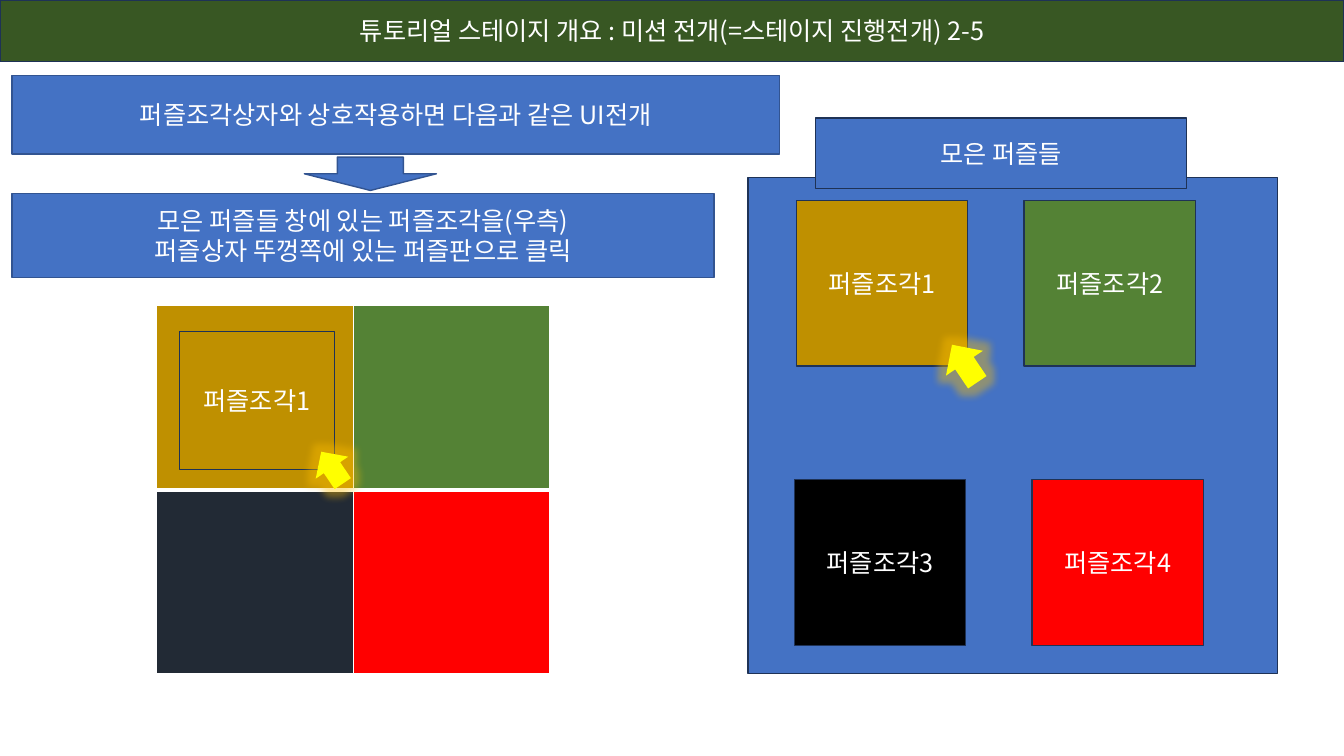
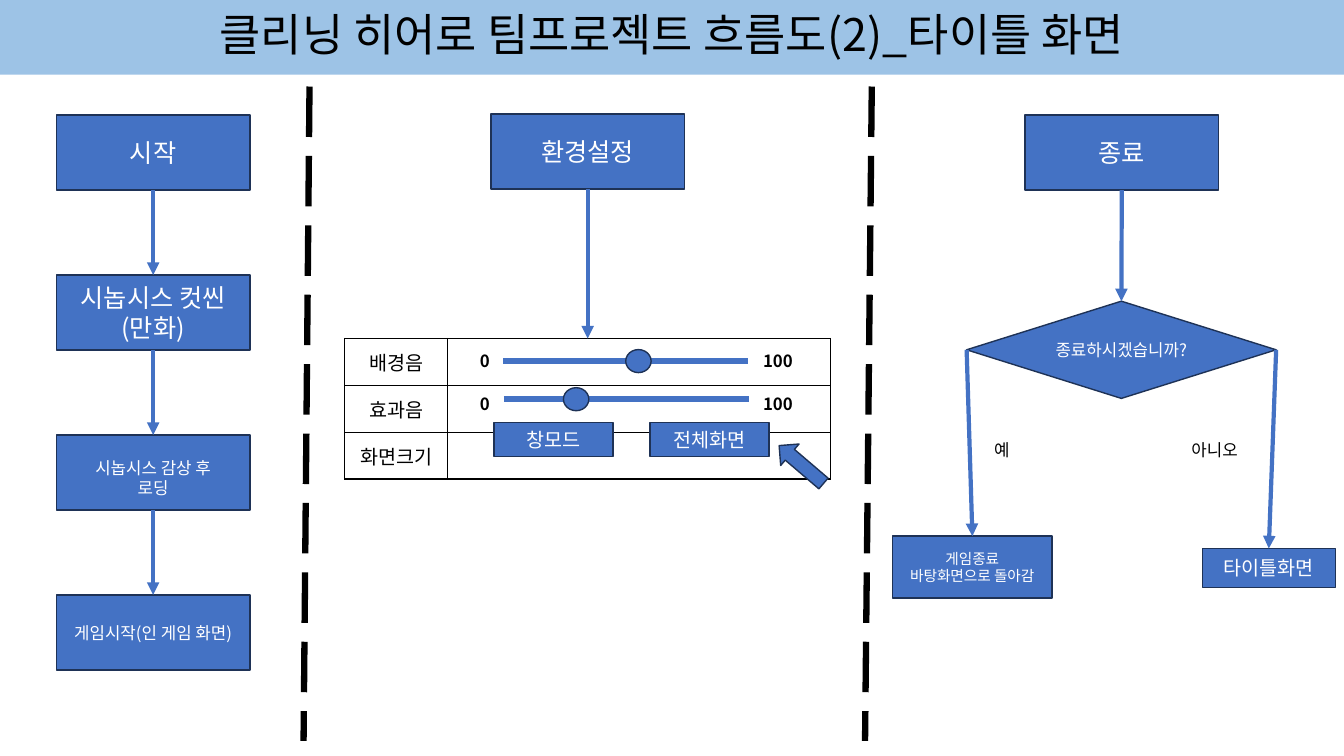
from dataclasses import dataclass

from lxml import etree
from pptx import Presentation
from pptx import util as u
from pptx.dml.color import RGBColor
from pptx.enum import dml, shapes, text
from pptx.oxml import ns

Cm, Pt = u.Cm, u.Pt
KIND = shapes.MSO_SHAPE


@dataclass(frozen=True)
class Theme:
    font: str = "Noto Sans CJK KR"
    blue: str = "4472C4"
    navy: str = "1E3256"
    edge: str = "325491"
    forest: str = "385723"
    sky: str = "9DC3E6"
    gold: str = "BF9000"
    green: str = "548235"
    slate: str = "222A35"
    red: str = "FF0000"
    yellow: str = "FFFF00"
    glow: str = "FFC000"
    black: str = "000000"
    white: str = "FFFFFF"
    heading: float = 32
    body: float = 18
    label: float = 14
    small: float = 12
    tiny: float = 10.5
    outline: float = 1
    arrow: float = 3
    heavy: float = 4.5


T = Theme()

MISSION_TITLE = "튜토리얼 스테이지 개요 : 미션 전개(=스테이지 진행전개) 2-5"
MISSION_STEPS = [
    (["퍼즐조각상자와 상호작용하면 다음과 같은 UI전개"], (0.3, 1.9, 19.35, 1.98)),
    (["모은 퍼즐들 창에 있는 퍼즐조각을(우측)", "퍼즐상자 뚜껑쪽에 있는 퍼즐판으로 클릭"],
     (0.3, 4.88, 17.7, 2.11)),
]
STEP_ARROW = (7.67, 3.96, 3.33, 0.84)
BOARD = [[T.gold, T.green], [T.slate, T.red]]
COLLECTION = (18.85, 4.47, 13.34, 12.5)
COLLECTION_LABEL = (["모은 퍼즐들"], (20.55, 2.97, 9.35, 1.78))
PIECE_SIZE = (4.32, 4.17)
PIECES = [
    ("퍼즐조각1", T.gold, (20.07, 5.05)),
    ("퍼즐조각2", T.green, (25.81, 5.05)),
    ("퍼즐조각3", T.black, (20.02, 12.09)),
    ("퍼즐조각4", T.red, (26.01, 12.09)),
]
PICK_POINTER = (23.75, 8.59, 1.12, 1.14)
PLACED_PIECE = (4.52, 8.36, 3.91, 3.48)
PLACED_POINTER = (7.87, 11.3, 0.99, 0.97)

FLOW_TITLE = "클리닝 히어로 팀프로젝트 흐름도(2)_타이틀 화면"
STEP_SIZE = (4.88, 1.89)
START_X, START_Y, START_STEP = 1.42, 2.9, 4.03
START_FLOW = [
    (["시작"], T.body, None),
    (["시놉시스 컷씬", "(만화)"], T.body, None),
    (["시놉시스 감상 후", "로딩"], T.small, 1.5),
    (["게임시작(인 게임 화면)"], T.small, None),
]
SETTINGS = ["배경음", "효과음", "화면크기"]
SETTINGS_LEFT, SETTINGS_TOP = 8.69, 8.53
SLIDERS = [(12.68, 9.1, 15.77, 8.72), (12.7, 10.06, 14.2, 9.78)]
SLIDER_ENDS = [("0", 11.79, 0.86), ("100", 18.92, 1.37)]
SCREEN_MODES = [("창모드", 12.45), ("전체화면", 16.38)]
ANSWERS = [
    ("예", (24.64, 10.95, 1.22, 0.77), ["게임종료", "바탕화면으로 돌아감"], T.tiny,
     (22.5, 13.51, 4.01, 1.56), 1),
    ("아니오", (29.67, 10.95, 1.88, 0.77), ["타이틀화면"], T.label,
     (30.3, 13.82, 3.35, 0.98), 3),
]
DIVIDERS = [(7.8, 7.65), (21.97, 21.8)]


def rgb(value):
    return RGBColor.from_string(value)


def child(parent, tag, **attributes):
    return etree.SubElement(parent, ns.qn(tag), attributes)


def write(frame, lines, size, color=T.white, bold=False, first_spacing=None):
    frame.word_wrap = True
    frame.vertical_anchor = text.MSO_ANCHOR.MIDDLE
    for i, line in enumerate(lines):
        paragraph = frame.paragraphs[0] if i == 0 else frame.add_paragraph()
        paragraph.alignment = text.PP_ALIGN.CENTER
        if i == 0 and first_spacing:
            paragraph.line_spacing = first_spacing
        run = paragraph.add_run()
        run.text = line
        run.font.size, run.font.bold = Pt(size), bold
        run.font.name = T.font
        run.font.color.rgb = rgb(color)
        child(run.font._element, "a:ea", typeface=T.font)


def paint(shape, fill, line):
    shape.fill.solid()
    shape.fill.fore_color.rgb = rgb(fill)
    if line:
        shape.line.color.rgb = rgb(line)
        shape.line.width = Pt(T.outline)
    else:
        shape.line.fill.background()


def add_box(parent, at, lines=(), size=T.body, fill=T.blue, line=T.navy,
            kind=KIND.RECTANGLE, first_spacing=None):
    box = parent.shapes.add_shape(kind, *map(Cm, at))
    box.shadow.inherit = False
    paint(box, fill, line)
    frame = box.text_frame
    frame.margin_left = frame.margin_right = Cm(0.2)
    if lines:
        write(frame, lines, size, first_spacing=first_spacing)
    return box


def add_pointer(parent, at):
    pointer = add_box(parent, at, fill=T.yellow, line=None, kind=KIND.DOWN_ARROW)
    pointer.rotation = 146
    effects = pointer._element.spPr.find(ns.qn("a:effectLst"))
    glow = child(effects, "a:glow", rad=str(Pt(11)))
    child(child(glow, "a:srgbClr", val=T.glow), "a:alpha", val="40000")


def add_label(slide, at, words, bold=False):
    label = slide.shapes.add_textbox(*map(Cm, at))
    write(label.text_frame, [words], T.small, T.black, bold)


def add_line(slide, start, end, color=T.blue, width=T.arrow, arrow=False, dash=None):
    line = slide.shapes.add_connector(shapes.MSO_CONNECTOR.STRAIGHT, *map(Cm, start + end))
    line.line.color.rgb = rgb(color)
    line.line.width = Pt(width)
    if dash:
        line.line.dash_style = dash
    if arrow:
        child(line.line._get_or_add_ln(), "a:tailEnd", type="triangle")
    child(line._element.spPr, "a:effectLst")
    return line


def join(slide, source, source_side, target, target_side=0):
    arrow = add_line(slide, (0, 0), (1, 1), arrow=True)
    arrow.begin_connect(source, source_side)
    arrow.end_connect(target, target_side)


def add_grid(slide, left, top, widths, heights):
    frame = slide.shapes.add_table(len(heights), len(widths), Cm(left), Cm(top),
                                   Cm(sum(widths)), Cm(sum(heights)))
    table = frame.table
    table.first_row = table.horz_banding = False
    for column, width in zip(table.columns, widths):
        column.width = Cm(width)
    for row, height in zip(table.rows, heights):
        row.height = Cm(height)
    return table


def set_borders(cell, color, **widths):
    properties = cell._tc.get_or_add_tcPr()
    for i, side in enumerate("LRTB"):
        width = widths.get(side, T.outline)
        border = etree.Element(ns.qn(f"a:ln{side}"), w=str(Pt(width)))
        child(child(border, "a:solidFill"), "a:srgbClr", val=color)
        properties.insert(i, border)


def add_titled_slide(deck, words, height, fill, line, size, color, spacing=None):
    slide = deck.slides.add_slide(deck.slide_layouts[5])
    title = slide.shapes.title
    title.left = title.top = 0
    title.width, title.height = deck.slide_width, Cm(height)
    paint(title, fill, line)
    title.text_frame.auto_size = text.MSO_AUTO_SIZE.NONE
    write(title.text_frame, [words], size, color, first_spacing=spacing)
    return slide


def build_mission(deck):
    slide = add_titled_slide(deck, MISSION_TITLE, 1.55, T.forest, T.navy, T.body, T.white)
    board = add_grid(slide, 3.94, 7.7, [4.96] * 2, [4.64] * 2)
    for r, colors in enumerate(BOARD):
        for c, color in enumerate(colors):
            cell = board.cell(r, c)
            cell.fill.solid()
            cell.fill.fore_color.rgb = rgb(color)
            set_borders(cell, T.white, **{"BT"[r]: 3})

    add_box(slide, COLLECTION)
    for name, color, corner in PIECES:
        add_box(slide, corner + PIECE_SIZE, [name], fill=color)
    words, at = COLLECTION_LABEL
    add_box(slide, at, words)
    add_pointer(slide, PICK_POINTER)

    placed = slide.shapes.add_group_shape()
    add_box(placed, PLACED_PIECE, [PIECES[0][0]], fill=T.gold)
    add_pointer(placed, PLACED_POINTER)

    for lines, at in MISSION_STEPS:
        add_box(slide, at, lines, line=T.edge)
    add_box(slide, STEP_ARROW, line=T.edge, kind=KIND.DOWN_ARROW)


def build_start(slide):
    previous = None
    for i, (lines, size, spacing) in enumerate(START_FLOW):
        step = add_box(slide, (START_X, START_Y + i * START_STEP) + STEP_SIZE, lines, size,
                       kind=KIND.FLOWCHART_PROCESS, first_spacing=spacing)
        if previous:
            join(slide, previous, 2, step)
        previous = step


def build_settings(slide):
    settings = add_box(slide, (12.37, 2.87) + STEP_SIZE, ["환경설정"],
                       kind=KIND.FLOWCHART_PROCESS)
    table = add_grid(slide, SETTINGS_LEFT, SETTINGS_TOP, [2.59, 9.65], [1.18] * 3)
    for r, name in enumerate(SETTINGS):
        for c, lines in enumerate([[name], []]):
            cell = table.cell(r, c)
            cell.fill.background()
            set_borders(cell, T.black)
            write(cell.text_frame, lines, T.label, T.black)
            cell.vertical_anchor = text.MSO_ANCHOR.MIDDLE
    for left, middle, knob, label_top in SLIDERS:
        add_line(slide, (left, middle), (left + 6.17, middle), width=T.heavy)
        add_box(slide, (knob, middle - 0.29, 0.64, 0.58), kind=KIND.OVAL)
        for value, x, width in SLIDER_ENDS:
            add_label(slide, (x, label_top, width, 0.77), value, bold=True)
    for mode, x in SCREEN_MODES:
        add_box(slide, (x, 10.64, 3, 0.87), [mode], T.label, kind=KIND.FLOWCHART_PROCESS)
    cursor = add_box(slide, (19.46, 11.35, 1.47, 0.71), kind=KIND.RIGHT_ARROW)
    cursor.rotation = 220.5
    to_table = add_line(slide, (14.81, 4.76), (14.81, SETTINGS_TOP), arrow=True)
    to_table.begin_connect(settings, 2)


def build_exit(slide):
    leave = add_box(slide, (25.83, 2.9) + STEP_SIZE, ["종료"], kind=KIND.FLOWCHART_PROCESS)
    confirm = add_box(slide, (24.36, 7.59, 7.8, 2.45), ["종료하시겠습니까?"], T.small,
                      kind=KIND.FLOWCHART_DECISION)
    join(slide, leave, 2, confirm)
    for answer, label_at, lines, size, at, side in ANSWERS:
        result = add_box(slide, at, lines, size, kind=KIND.FLOWCHART_PROCESS)
        join(slide, confirm, side, result)
        add_label(slide, label_at, answer)


def build_flow(deck):
    slide = add_titled_slide(deck, FLOW_TITLE, 1.88, T.sky, None, T.heading, T.black, 0.9)
    build_start(slide)
    build_settings(slide)
    build_exit(slide)
    for top_x, bottom_x in DIVIDERS:
        add_line(slide, (top_x, 2.18), (bottom_x, 18.67), T.black, T.heavy,
                 dash=dml.MSO_LINE.LONG_DASH)


def main():
    deck = Presentation()
    deck.slide_width, deck.slide_height = Cm(33.87), Cm(19.05)
    build_mission(deck)
    build_flow(deck)
    deck.save("out.pptx")


if __name__ == "__main__":
    main()
